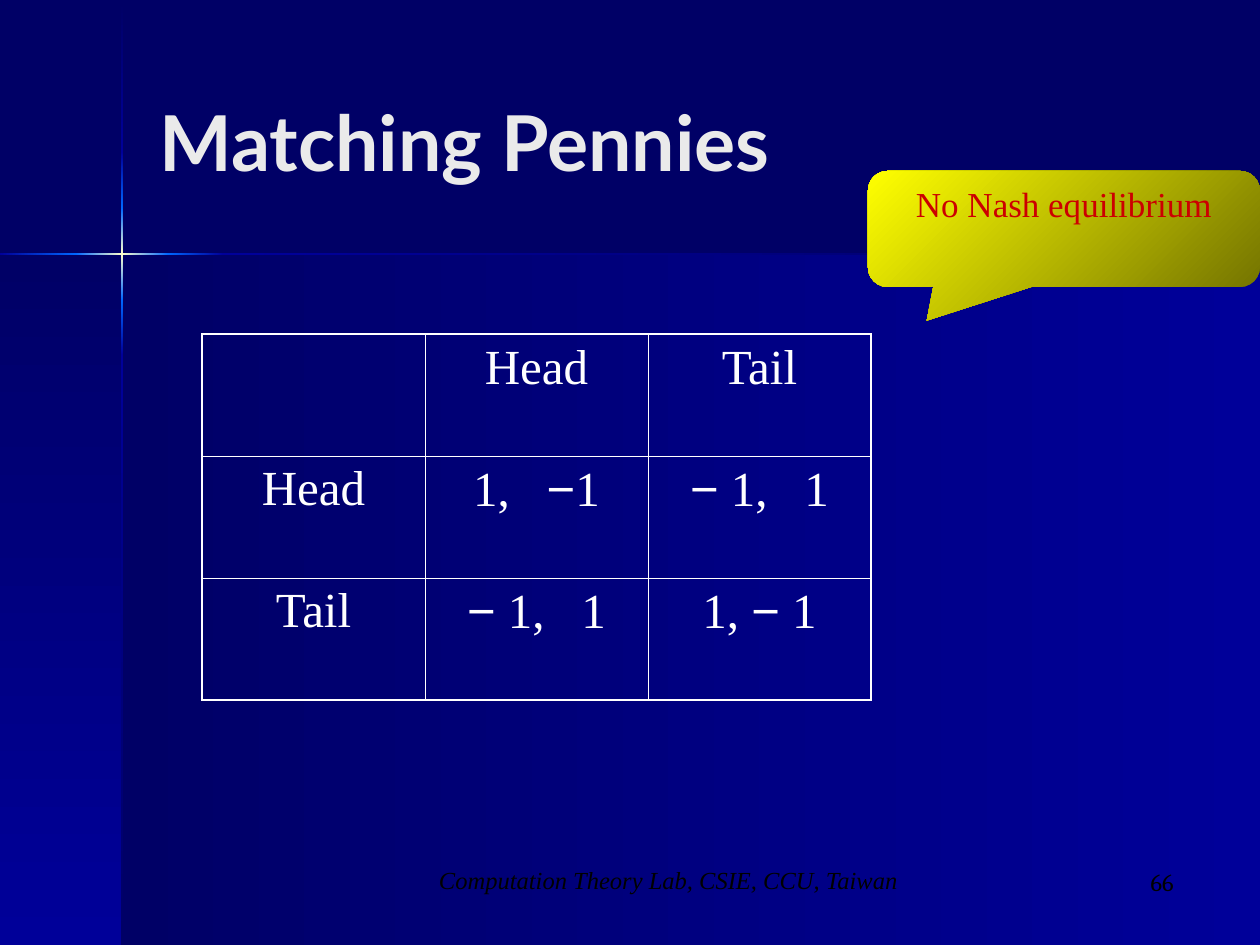
from pptx import Presentation
from pptx import util as u
from pptx.dml.color import RGBColor
from pptx.enum import shapes, text
from pptx.oxml import parse_xml
from pptx.oxml import ns

SCALE = 914400 / 126
HUES = {"night": "000066", "navy": "000099", "blue": "0066FF", "glow": "FFFFCC",
        "pale": "EAEAEA", "white": "FFFFFF", "olive": "757500",
        "yellow": "FFFF00", "red": "CC0000", "black": "000000"}
SERIF = "Times New Roman"
PANELS = [((122, 254, 1138, 691), ("navy", "night"), 180),
          ((0, 254, 122, 691), ("night", "navy"), 270)]
BEAMS = [(1, 152, ("night", "navy")), (152, 208, ("navy", "blue")),
         (208, 300, ("blue", "glow", "blue")), (300, 355, ("blue", "navy")),
         (355, 945, ("navy", "night"))]
RAYS = [(0, 76, ("blue", "navy")), (76, 168, ("blue", "glow", "blue")),
        (168, 223, ("navy", "blue")), (223, 1260, ("night", "navy"))]
PAYOFFS = [[[], ["Head"], ["Tail"]],
           [["Head"], ["1,", " ", "−", "1"], ["−", " 1,", " ", "1"]],
           [["Tail"], ["−", " 1,", " ", "1"], ["1, ", "−", " 1"]]]


def px(*nums):
    """Turn px into EMU."""
    return [u.Emu(round(n * SCALE)) for n in nums]


def hue(name):
    """Look up a named colour."""
    return RGBColor.from_string(HUES[name])


def style(font, face, size, color, bold=False, italic=False):
    """Set the look of a font."""
    font.name, font.size = face, u.Pt(size)
    font.bold, font.italic = bold, italic
    font.color.rgb = hue(color)


def block(slide, box, names, angle, kind=shapes.MSO_SHAPE.RECTANGLE):
    """Add a shape with evenly spaced gradient stops and no outline."""
    shape = slide.shapes.add_shape(kind, *px(*box))
    shape.shadow.inherit = False
    shape.line.fill.background()
    shape.fill.gradient()
    shape.fill.gradient_angle = angle
    stops = shape._element.spPr.find(".//" + ns.qn("a:gsLst"))
    for stop in list(stops):
        stops.remove(stop)
    for i, name in enumerate(names):
        stops.append(parse_xml(
            f'<a:gs {ns.nsdecls("a")} pos="{100000 * i // (len(names) - 1)}">'
            f'<a:srgbClr val="{HUES[name]}"/></a:gs>'))
    return shape


def back(slide):
    """Draw the panels and the glowing cross."""
    slide.background.fill.solid()
    slide.background.fill.fore_color.rgb = hue("night")
    for box, names, angle in PANELS:
        block(slide, box, names, angle)
    for top, end, names in BEAMS:
        block(slide, (121, top, 2, end - top), names, 270)
    for left, end, names in RAYS:
        block(slide, (left, 253, end - left, 2), names, 180)


def title(slide, words):
    """Fill and place the title above the panels."""
    shape = slide.shapes.title
    slide.shapes._spTree.append(shape._element)
    shape.left, shape.top, shape.width, shape.height = px(147, 42, 1040, 198)
    frame = shape.text_frame
    frame.text = words
    frame.vertical_anchor = text.MSO_ANCHOR.MIDDLE
    para = frame.paragraphs[0]
    para.alignment = text.PP_ALIGN.LEFT
    style(para.font, "Lato", 44, "pale", bold=True)


def edge(cell, row, col, last):
    """Rule a cell, heavier on the outside of the grid."""
    props = cell._tc.get_or_add_tcPr()
    outer = {"L": col == 0, "R": col == last, "T": row == 0, "B": row == last}
    for side, heavy in outer.items():
        width = u.Pt(1.08 if heavy else 0.45)
        props.append(parse_xml(
            f'<a:ln{side} {ns.nsdecls("a")} w="{width}"><a:solidFill>'
            f'<a:srgbClr val="{HUES["white"]}"/></a:solidFill></a:ln{side}>'))


def entry(cell, parts):
    """Write a payoff, with a lone space set three spaces wide."""
    para = cell.text_frame.paragraphs[0]
    para.alignment = text.PP_ALIGN.CENTER
    style(para.font, SERIF, 28, "white")
    for part in parts:
        run = para.add_run()
        run.text = part
        style(run.font, "Arial" if part == "−" else SERIF, 28, "white")
        if part == " ":
            run._r.get_or_add_rPr().set("spc", "1400")


def grid(slide, rows):
    """Add the payoff table."""
    size = len(rows)
    table = slide.shapes.add_table(
        size, size, *px(202, 334, 223 * size, 122 * size)).table
    table.first_row = table.horz_banding = False
    for i, row in enumerate(rows):
        for j, parts in enumerate(row):
            cell = table.cell(i, j)
            edge(cell, i, j, size - 1)
            cell.fill.background()
            entry(cell, parts)


def bubble(slide, words):
    """Add the callout."""
    shape = block(slide, (868, 171, 392, 116), ("olive", "yellow"), 135,
                  shapes.MSO_SHAPE.ROUNDED_RECTANGULAR_CALLOUT)
    for i, value in enumerate((-0.35, 0.79, 0.17)):
        shape.adjustments[i] = value
    frame = shape.text_frame
    frame.text = words
    frame.vertical_anchor = text.MSO_ANCHOR.TOP
    para = frame.paragraphs[0]
    para.alignment = text.PP_ALIGN.CENTER
    style(para.font, SERIF, 20, "red")


def note(slide, box, words, face, align, italic=False):
    """Add a footer text box."""
    frame = slide.shapes.add_textbox(*px(*box)).text_frame
    frame.word_wrap = True
    frame.text = words
    para = frame.paragraphs[0]
    para.alignment = align
    style(para.font, face, 14, "black", italic=italic)


def main():
    """Build the slide and save it."""
    deck = Presentation()
    deck.slide_width, deck.slide_height = px(1260, 945)
    slide = deck.slides.add_slide(deck.slide_layouts[5])
    back(slide)
    title(slide, "Matching Pennies")
    grid(slide, PAYOFFS)
    bubble(slide, "No Nash equilibrium")
    note(slide, (394, 859, 549, 63), "Computation Theory Lab, CSIE, CCU, Taiwan",
         SERIF, text.PP_ALIGN.CENTER, italic=True)
    note(slide, (924, 861, 262, 63), "66", "Cambria", text.PP_ALIGN.RIGHT)
    deck.save("out.pptx")


if __name__ == "__main__":
    main()
